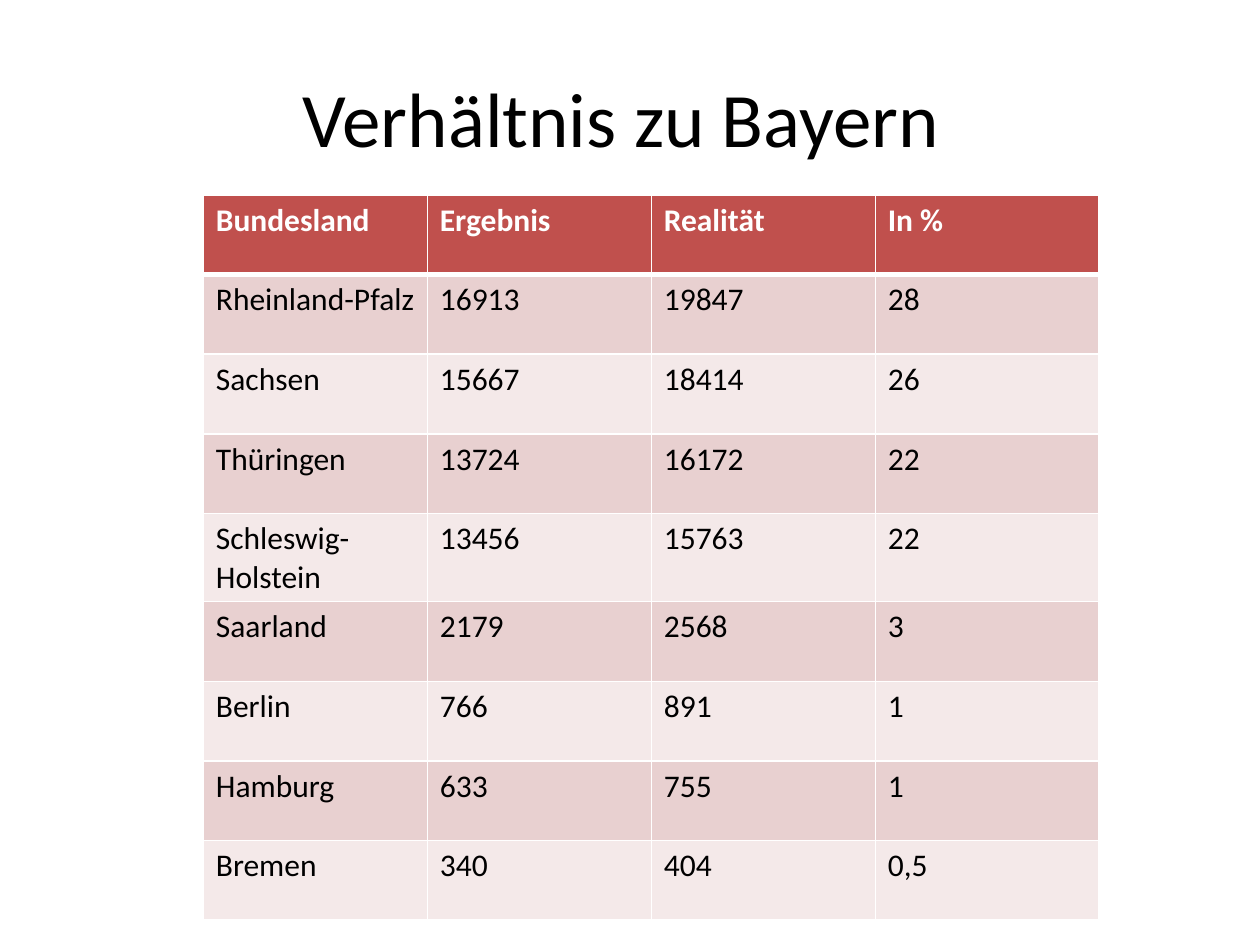
from lxml import etree
from pptx import Presentation
from pptx.dml.color import RGBColor
from pptx.enum import text
from pptx.oxml import ns
from pptx.util import Pt

BLACK = RGBColor(0x00, 0x00, 0x00)
WHITE = RGBColor(0xFF, 0xFF, 0xFF)
RED = RGBColor(0xC0, 0x50, 0x4D)
BANDS = (RGBColor(0xE8, 0xD0, 0xD0), RGBColor(0xF4, 0xE9, 0xE9))
FONT = "Calibri"

ROWS = [
    ("Bundesland", "Ergebnis", "Realität", "In %"),
    ("Rheinland-Pfalz", "16913", "19847", "28"),
    ("Sachsen", "15667", "18414", "26"),
    ("Thüringen", "13724", "16172", "22"),
    ("Schleswig-Holstein", "13456", "15763", "22"),
    ("Saarland", "2179", "2568", "3"),
    ("Berlin", "766", "891", "1"),
    ("Hamburg", "633", "755", "1"),
    ("Bremen", "340", "404", "0,5"),
]


def write(frame, words, size, color=BLACK, bold=False, align=text.PP_ALIGN.LEFT):
    """Put one formatted paragraph into a text frame."""
    para = frame.paragraphs[0]
    para.alignment = align
    span = para.add_run()
    span.text = words
    span.font.name = FONT
    span.font.size = Pt(size)
    span.font.bold = bold
    span.font.color.rgb = color


def set_borders(cell, color, **widths):
    """Draw the cell edges, given in points by the names L, R, T and B."""
    properties = cell._tc.get_or_add_tcPr()
    for position, (side, width) in enumerate(widths.items()):
        line = etree.Element(ns.qn(f"a:ln{side}"), w=str(Pt(width)))
        fill = etree.SubElement(line, ns.qn("a:solidFill"))
        etree.SubElement(fill, ns.qn("a:srgbClr"), val=str(color))
        properties.insert(position, line)


def add_title(page, left, top, width, height):
    """Place the centred heading in the given box."""
    frame = page.shapes.add_textbox(Pt(left), Pt(top), Pt(width), Pt(height)).text_frame
    frame.word_wrap = True
    frame.vertical_anchor = text.MSO_ANCHOR.MIDDLE
    write(frame, "Verhältnis zu Bayern ", 44, align=text.PP_ALIGN.CENTER)


def add_states_table(page, left, top, width, height):
    """Place the banded table of federal states in the given box."""
    table = page.shapes.add_table(
        len(ROWS), len(ROWS[0]), Pt(left), Pt(top), Pt(width), Pt(height)
    ).table
    for column in table.columns:
        column.width = Pt(width / len(ROWS[0]))
    for index, values in enumerate(ROWS):
        table.rows[index].height = Pt(height / len(ROWS))
        header = index == 0
        for column, value in enumerate(values):
            cell = table.cell(index, column)
            cell.fill.solid()
            cell.fill.fore_color.rgb = RED if header else BANDS[(index - 1) % 2]
            write(cell.text_frame, value, 18, WHITE if header else BLACK, header)
            set_borders(
                cell, WHITE, L=1, R=1, T=3 if index == 1 else 1, B=3 if header else 1
            )


def main():
    """Build the slide and save the deck."""
    deck = Presentation()
    deck.slide_width, deck.slide_height = Pt(720), Pt(540)
    page = deck.slides.add_slide(deck.slide_layouts[6])
    add_title(page, 36, 21.6, 648, 90)
    add_states_table(page, 116.2, 111.4, 512, 409.5)
    deck.save("out.pptx")


if __name__ == "__main__":
    main()
